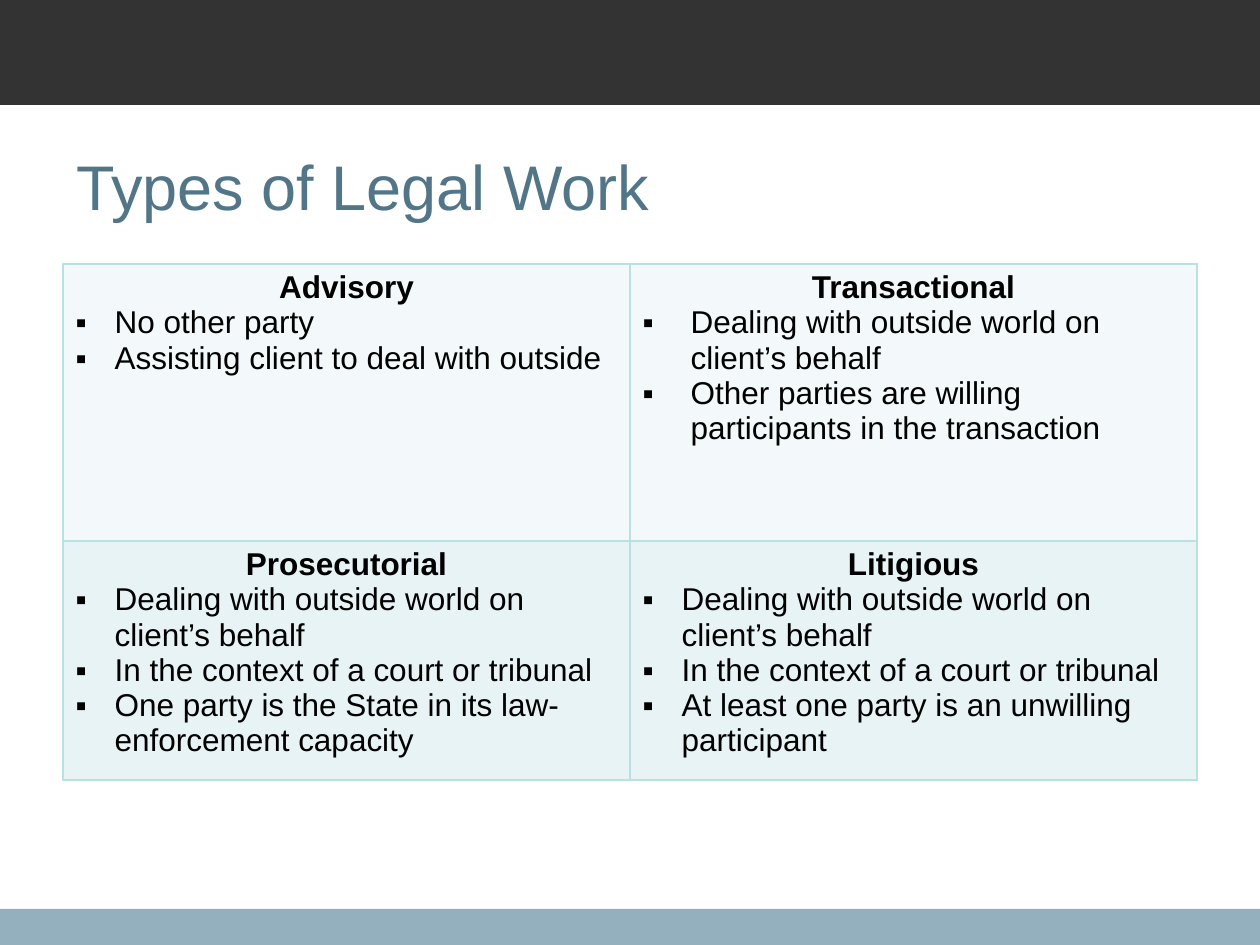
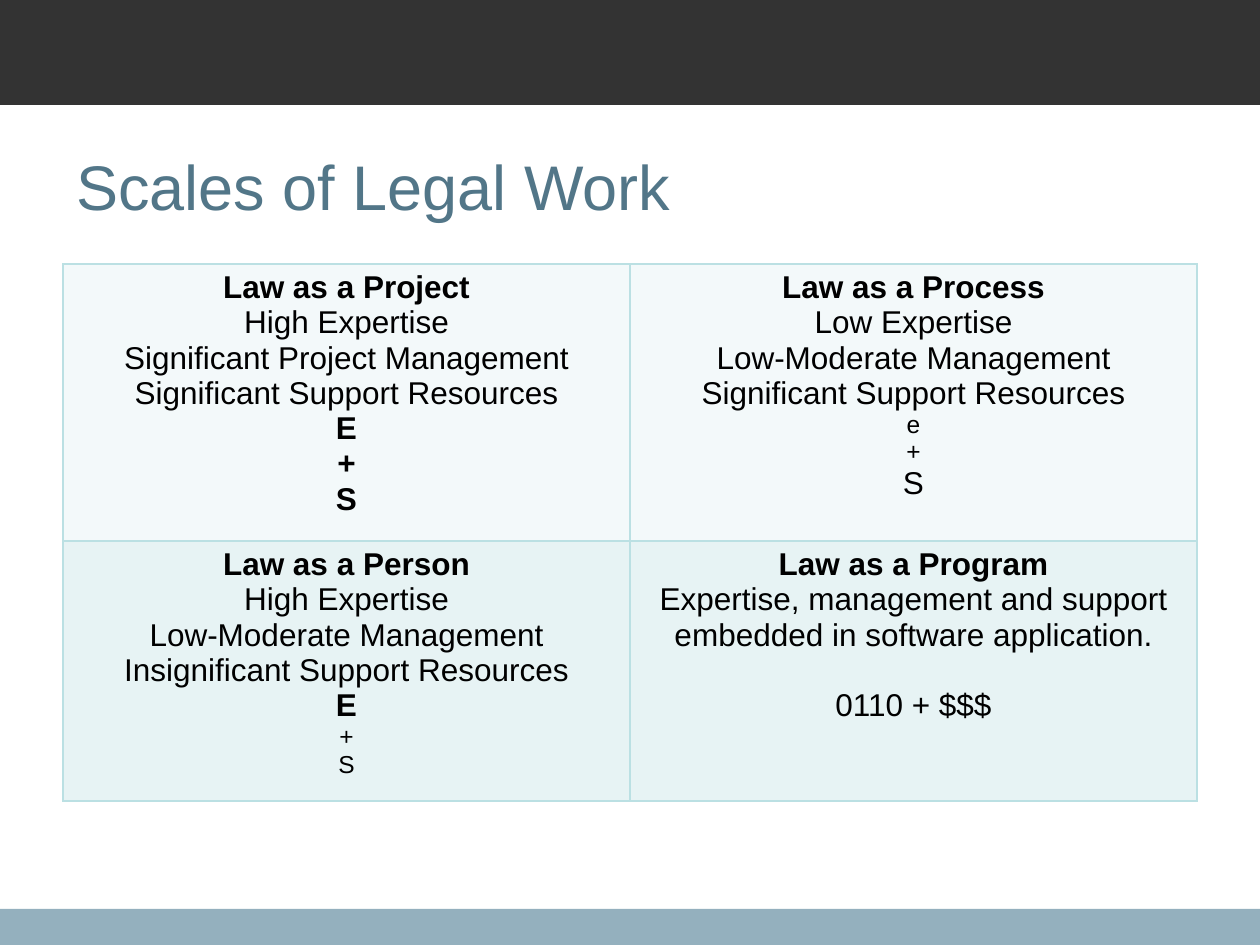
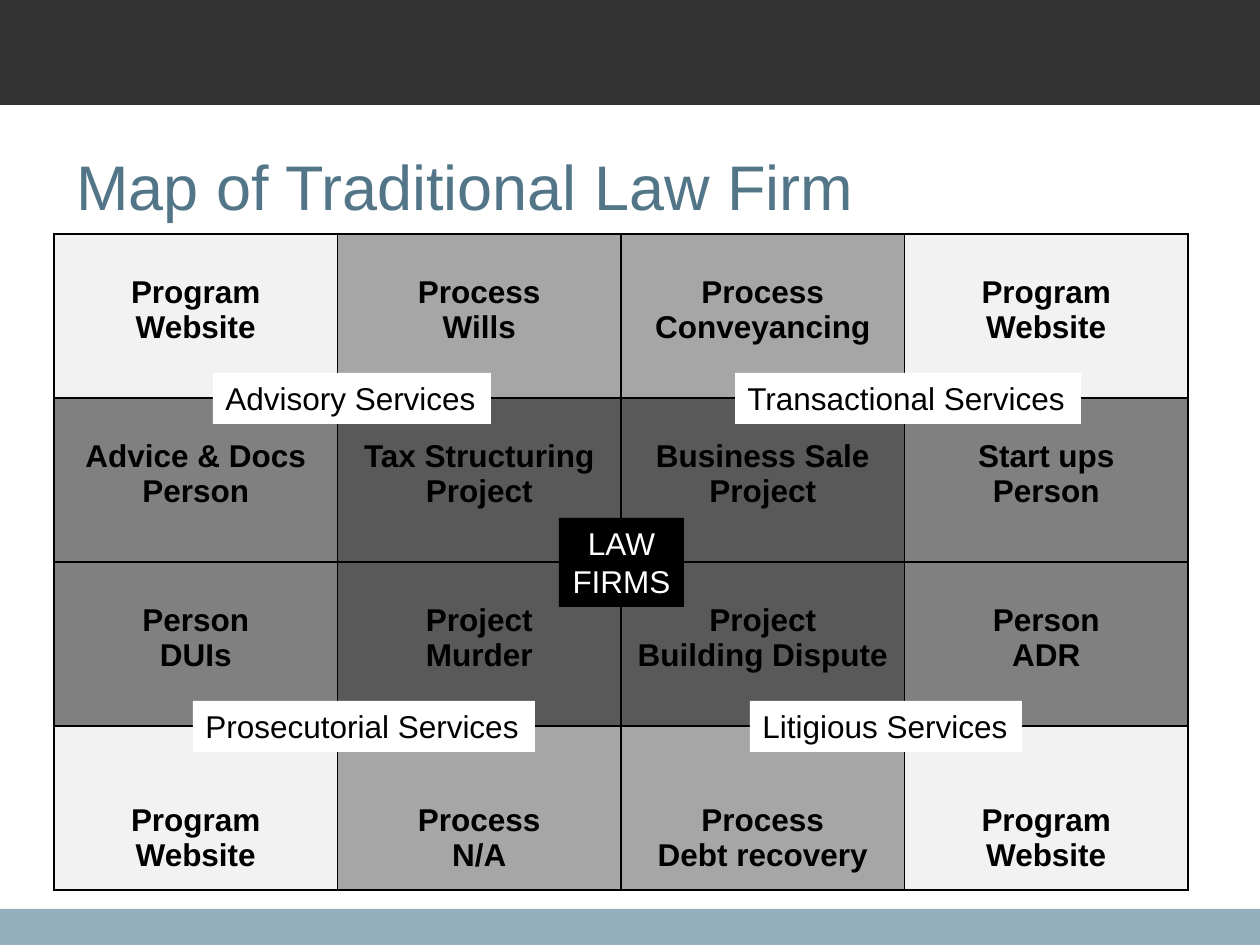
from lxml import etree
from pptx import Presentation
from pptx.dml.color import RGBColor
from pptx.enum.shapes import MSO_SHAPE
from pptx.enum.text import MSO_ANCHOR, MSO_AUTO_SIZE, PP_ALIGN
from pptx.oxml.ns import qn
from pptx.util import Emu, Pt

PX = 914400 / 126
SLIDE_WIDTH, SLIDE_HEIGHT = 1260, 945
BLANK_LAYOUT = 6
FONT = "Arial"

BLACK = RGBColor(0x00, 0x00, 0x00)
WHITE = RGBColor(0xFF, 0xFF, 0xFF)
HEADER = RGBColor(0x33, 0x33, 0x33)
FOOTER = RGBColor(0x94, 0xB0, 0xBE)
TITLE = RGBColor(0x52, 0x76, 0x88)
GRID_LINE = RGBColor(0xBB, 0xE0, 0xE3)
UPPER_ROW = RGBColor(0xF3, 0xF9, 0xFA)
LOWER_ROW = RGBColor(0xE7, 0xF3, 0xF4)
PROGRAM = RGBColor(0xF2, 0xF2, 0xF2)
PROCESS = RGBColor(0xA6, 0xA6, 0xA6)
PERSON = RGBColor(0x80, 0x80, 0x80)
PROJECT = RGBColor(0x59, 0x59, 0x59)

LEFT, CENTER = PP_ALIGN.LEFT, PP_ALIGN.CENTER
MIDDLE = MSO_ANCHOR.MIDDLE
RECTANGLE = MSO_SHAPE.RECTANGLE
FIT_SHAPE = MSO_AUTO_SIZE.SHAPE_TO_FIT_TEXT

QUADRANT_FILLS = [[UPPER_ROW] * 2, [LOWER_ROW] * 2]
OUTER_FILLS = [PROGRAM, PROCESS, PROCESS, PROGRAM]
INNER_FILLS = [PERSON, PROJECT, PROJECT, PERSON]


def px(*lengths):
    return [Emu(round(length * PX)) for length in lengths]


def write(paragraph, text, size=18, bold=False, color=BLACK, align=LEFT,
          bullet_indent=0, space_before=0):
    if bullet_indent:
        properties = paragraph._p.get_or_add_pPr()
        indent = px(bullet_indent)[0]
        properties.set("marL", str(indent))
        properties.set("indent", str(-indent))
        etree.SubElement(properties, qn("a:buFont"), typeface=FONT)
        etree.SubElement(properties, qn("a:buChar"), char="▪")
    paragraph.alignment = align
    if space_before:
        paragraph.space_before = Pt(space_before)
    run = paragraph.add_run()
    run.text = text
    run.font.name = FONT
    run.font.size = Pt(size)
    run.font.bold = bold
    run.font.color.rgb = color


def write_lines(frame, lines):
    """Write (text, format) pairs, one paragraph each."""
    for index, (text, style) in enumerate(lines):
        paragraph = frame.add_paragraph() if index else frame.paragraphs[0]
        write(paragraph, text, **style)


def centred(*texts, **style):
    return [(text, {"align": CENTER, **style}) for text in texts]


def bulleted(heading, *points, indent=39):
    return centred(heading, bold=True) + [
        (point, {"bullet_indent": indent}) for point in points]


def add_band(slide, top, height, color):
    band = slide.shapes.add_shape(RECTANGLE, *px(0, top, SLIDE_WIDTH, height))
    band.shadow.inherit = False
    band.fill.solid()
    band.fill.fore_color.rgb = color
    band.line.fill.background()


def add_titled_slide(deck, title):
    slide = deck.slides.add_slide(deck.slide_layouts[BLANK_LAYOUT])
    add_band(slide, 909, 36, FOOTER)
    add_band(slide, 0, 105, HEADER)
    frame = slide.shapes.add_textbox(*px(64, 106, 1134, 158)).text_frame
    frame.word_wrap = True
    frame.vertical_anchor = MIDDLE
    write(frame.paragraphs[0], title, size=36, color=TITLE)
    return slide


def outline_cell(cell, color):
    properties = cell._tc.get_or_add_tcPr()
    for side in ("lnL", "lnR", "lnT", "lnB"):
        line = etree.SubElement(properties, qn(f"a:{side}"), w=str(Pt(1)))
        fill = etree.SubElement(line, qn("a:solidFill"))
        etree.SubElement(fill, qn("a:srgbClr"), val=str(color))


def add_grid(slide, left, top, row_heights, contents, fills, border, top_margins):
    rows, columns = len(contents), len(contents[0])
    table = slide.shapes.add_table(
        rows, columns, *px(left, top, 1134, sum(row_heights))).table
    table.first_row = table.horz_banding = False
    for row, height in enumerate(row_heights):
        table.rows[row].height = px(height)[0]
        for column in range(columns):
            cell = table.cell(row, column)
            outline_cell(cell, border)
            cell.fill.solid()
            cell.fill.fore_color.rgb = fills[row][column]
            cell.margin_top = px(top_margins[row])[0]
            write_lines(cell.text_frame, contents[row][column])


def add_quadrants(slide, row_heights, contents):
    add_grid(slide, 63, 264, row_heights, contents, QUADRANT_FILLS,
             GRID_LINE, top_margins=[6, 6])


def add_label(slide, box, lines, fill):
    label = slide.shapes.add_textbox(*px(*box))
    label.fill.solid()
    label.fill.fore_color.rgb = fill
    label.text_frame.word_wrap = False
    label.text_frame.auto_size = FIT_SHAPE
    write_lines(label.text_frame, lines)


def add_work_types(deck):
    slide = add_titled_slide(deck, "Types of Legal Work")
    outside = "Dealing with outside world on client’s behalf"
    court = "In the context of a court or tribunal"
    add_quadrants(slide, [277, 239], [
        [bulleted("Advisory", "No other party",
                  "Assisting client to deal with outside"),
         bulleted("Transactional", outside,
                  "Other parties are willing participants in the transaction",
                  indent=48)],
        [bulleted("Prosecutorial", outside, court,
                  "One party is the State in its law-enforcement capacity"),
         bulleted("Litigious", outside, court,
                  "At least one party is an unwilling participant")],
    ])


def add_work_scales(deck):
    slide = add_titled_slide(deck, "Scales of Legal Work")
    project = (centred("Law as a Project", bold=True)
               + centred("High Expertise", "Significant Project Management",
                         "Significant Support Resources")
               + centred("E", "+", "S", bold=True))
    process = (centred("Law as a Process", bold=True)
               + centred("Low Expertise", "Low-Moderate Management",
                         "Significant Support Resources")
               + centred("e", "+", size=14)
               + centred("S"))
    person = (centred("Law as a Person", bold=True)
              + centred("High Expertise", "Low-Moderate Management",
                        "Insignificant Support Resources")
              + centred("E", bold=True)
              + centred("+", "S", size=14))
    program = (centred("Law as a Program", bold=True)
               + centred("Expertise, management and support embedded "
                         "in software application.")
               + centred("0110 + $$$", space_before=20))
    add_quadrants(slide, [277, 260], [[project, process], [person, program]])


def add_firm_map(deck):
    slide = add_titled_slide(deck, "Map of Traditional Law Firm")
    services = [
        [("Program", "Website"), ("Process", "Wills"),
         ("Process", "Conveyancing"), ("Program", "Website")],
        [("Advice & Docs", "Person"), ("Tax Structuring", "Project"),
         ("Business Sale", "Project"), ("Start ups", "Person")],
        [("Person", "DUIs"), ("Project", "Murder"),
         ("Project", "Building Dispute"), ("Person", "ADR")],
        [("Program", "Website"), ("Process", "N/A"),
         ("Process", "Debt recovery"), ("Program", "Website")],
    ]
    contents = [[centred(*pair, bold=True) for pair in row] for row in services]
    fills = [OUTER_FILLS, INNER_FILLS, INNER_FILLS, OUTER_FILLS]
    add_grid(slide, 54, 234, [164] * 4, contents, fills, BLACK,
             top_margins=[41, 41, 41, 77])
    for text, left, top, width in [
        ("Transactional Services", 735, 373, 346),
        ("Prosecutorial Services", 193, 701, 342),
        ("Advisory Services", 213, 373, 278),
        ("Litigious Services", 750, 701, 272),
    ]:
        add_label(slide, (left, top, width, 51), [(text, {})], WHITE)
    add_label(slide, (559, 518, 125, 89),
              centred("LAW", "FIRMS", color=WHITE), BLACK)


def main():
    deck = Presentation()
    deck.slide_width, deck.slide_height = px(SLIDE_WIDTH, SLIDE_HEIGHT)
    add_work_types(deck)
    add_work_scales(deck)
    add_firm_map(deck)
    deck.save("out.pptx")


if __name__ == "__main__":
    main()
